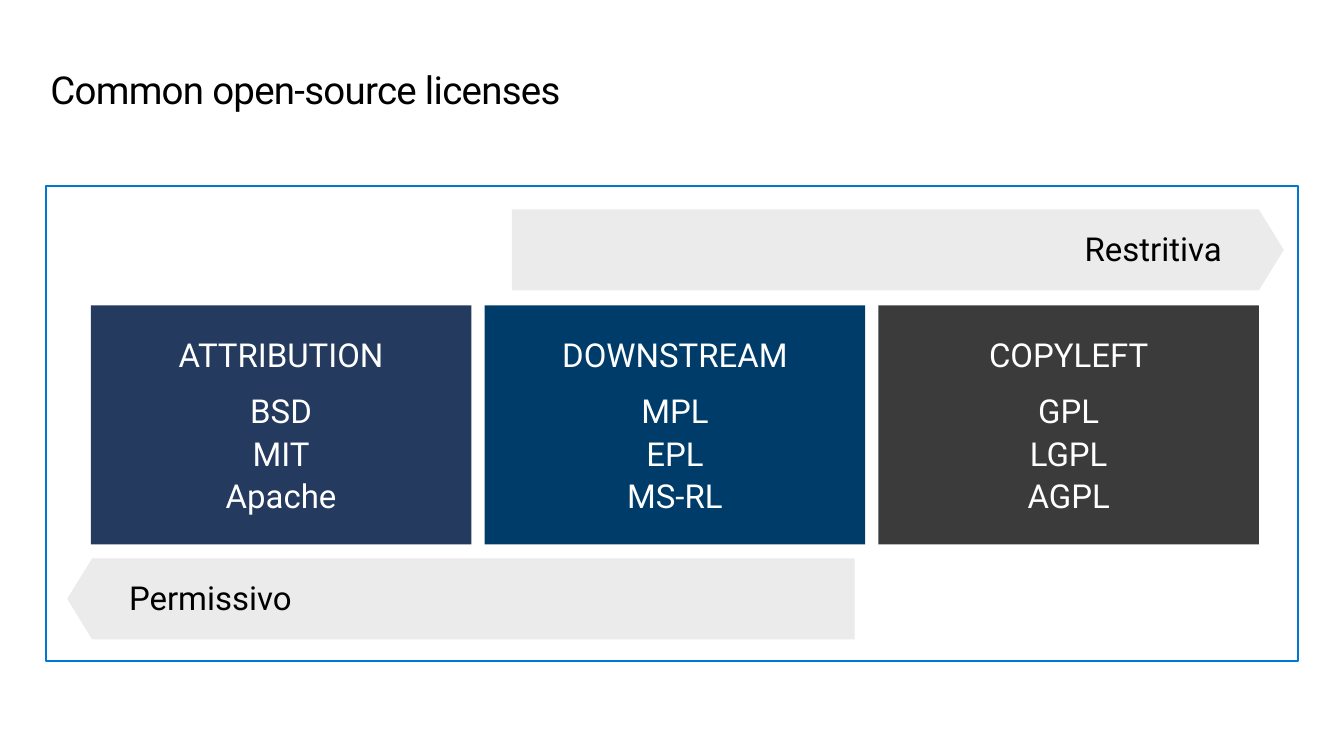
from pptx import Presentation
from pptx.dml.color import RGBColor
from pptx.enum.shapes import MSO_SHAPE
from pptx.enum.text import MSO_ANCHOR, PP_ALIGN
from pptx.util import Pt

BLACK = RGBColor(0x00, 0x00, 0x00)
WHITE = RGBColor(0xFF, 0xFF, 0xFF)
BLUE = RGBColor(0x00, 0x78, 0xD3)
GRAY = RGBColor(0xEB, 0xEB, 0xEB)
NAVY = RGBColor(0x24, 0x3A, 0x5E)
DEEP = RGBColor(0x00, 0x3C, 0x6A)
DARK = RGBColor(0x3B, 0x3B, 0x3B)
FONT = "Roboto"

# Content
TITLE = "Common open-source licenses"
GROUPS = [
    ("ATTRIBUTION", ["BSD", "MIT", "Apache"], NAVY),
    ("DOWNSTREAM", ["MPL", "EPL", "MS-RL"], DEEP),
    ("COPYLEFT", ["GPL", "LGPL", "AGPL"], DARK),
]
# Label, left, top, width, alignment, insets, points left
ARROWS = [
    ("Restritiva", 373, 152.6, 562.3, PP_ALIGN.RIGHT, (5, 3, 36, 5), False),
    ("Permissivo", 49, 406.8, 573.8, PP_ALIGN.LEFT, (36, 3, 3, 5), True),
]

# Layout
FRAME = (33.8, 135.4, 912.2, 346.3)
LEFT, TOP, WIDE, HIGH, GAP = 66.2, 222.5, 277.2, 174.2, 9.7
THICK = 59
TIP = 0.308


def write(frame, lines, size=24, color=BLACK, align=PP_ALIGN.LEFT,
          inset=(7.2, 3.6, 7.2, 3.6), anchor=MSO_ANCHOR.MIDDLE,
          after=(0,), lead=None, track=None):
    """Fill a text frame, one paragraph a line."""
    frame.word_wrap = True
    frame.vertical_anchor = anchor
    (frame.margin_left, frame.margin_top,
     frame.margin_right, frame.margin_bottom) = map(Pt, inset)
    for i, line in enumerate(lines):
        para = frame.paragraphs[0] if i == 0 else frame.add_paragraph()
        para.alignment = align
        para.space_after = Pt(after[min(i, len(after) - 1)])
        if lead:
            para.line_spacing = Pt(lead)
        run = para.add_run()
        run.text = line
        run.font.name = FONT
        run.font.size = Pt(size)
        run.font.color.rgb = color
        if track:
            run.font._element.set("spc", str(int(track * 100)))


def draw(slide, kind, box, fill=None, line=None):
    shape = slide.shapes.add_shape(kind, *map(Pt, box))
    shape.shadow.inherit = False
    if fill is None:
        shape.fill.background()
    else:
        shape.fill.solid()
        shape.fill.fore_color.rgb = fill
    if line is None:
        shape.line.fill.background()
    else:
        shape.line.color.rgb = line
        shape.line.width = Pt(1.5)
    return shape


def main():
    deck = Presentation()
    deck.slide_width, deck.slide_height = Pt(979.2), Pt(550.8)
    slide = deck.slides.add_slide(deck.slide_layouts[6])

    # Title
    head = slide.shapes.add_textbox(Pt(36.7), Pt(49.7), Pt(908), Pt(32.4))
    write(head.text_frame, [TITLE], size=28, inset=(0, 0, 0, 0),
          anchor=MSO_ANCHOR.TOP, lead=32, track=-0.5)

    # Frame
    draw(slide, MSO_SHAPE.RECTANGLE, FRAME, line=BLUE)

    # License groups
    for i, (name, items, fill) in enumerate(GROUPS):
        box = (LEFT + i * (WIDE + GAP), TOP, WIDE, HIGH)
        card = draw(slide, MSO_SHAPE.RECTANGLE, box, fill)
        write(card.text_frame, [name, *items], color=WHITE,
              align=PP_ALIGN.CENTER, after=(12, 2))

    # Arrows
    for label, left, top, width, align, inset, flip in ARROWS:
        arrow = draw(slide, MSO_SHAPE.PENTAGON, (left, top, width, THICK), GRAY)
        arrow.adjustments[0] = TIP
        if flip:
            arrow._element.spPr.xfrm.set("flipH", "1")
        write(arrow.text_frame, [label], align=align, inset=inset)

    deck.save("out.pptx")


if __name__ == "__main__":
    main()
